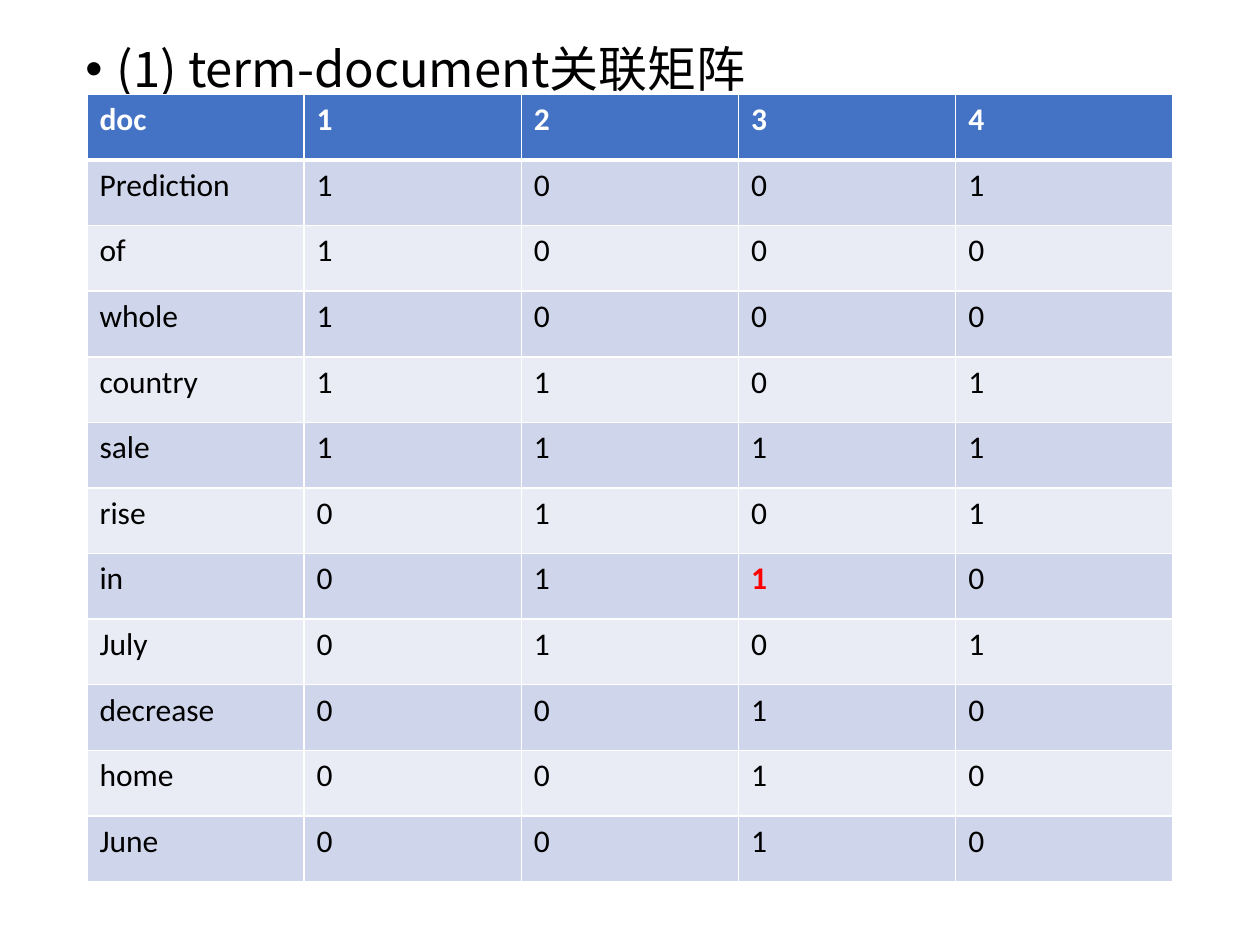
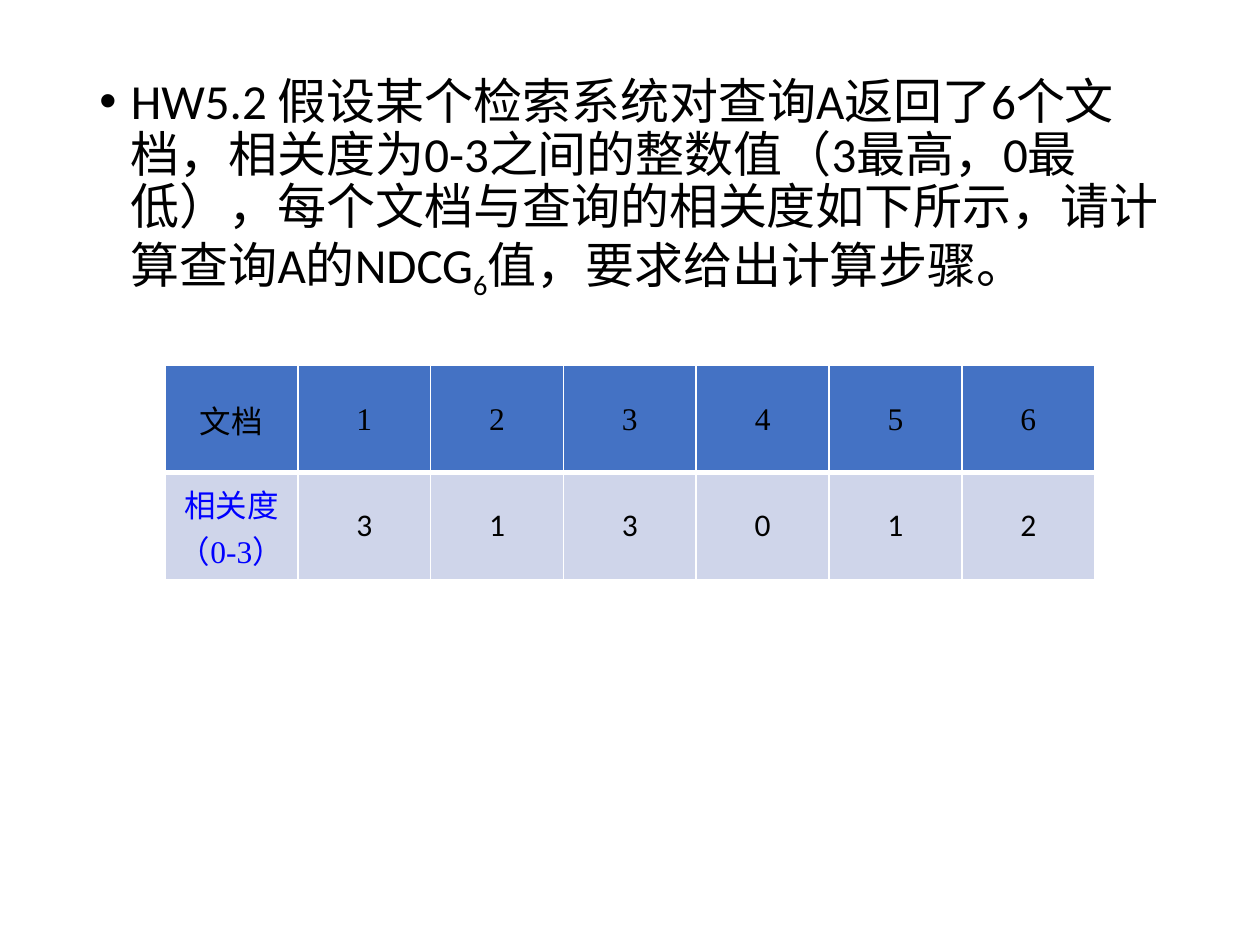
from lxml import etree
from pptx import Presentation, util as u
from pptx.dml.color import RGBColor
from pptx.enum import text
from pptx.oxml.ns import qn

SANS, SERIF, HAN = "Calibri", "Times New Roman", "Noto Sans CJK SC"
BLUE, DARK, PALE = "4472C4", "CFD5EA", "E9EBF5"
BLACK, WHITE, RED, INK = "000000", "FFFFFF", "FF0000", "0000FF"

TITLE = [("(1) term-document关联矩阵", 0)]
TASK = [
    ("HW5.2 假设某个检索系统对查询A返回了6个文档，相关度为0-3之间的整数值"
     "（3最高，0最低），每个文档与查询的相关度如下所示，请计算查询A的NDCG", 0),
    ("6", -25),
    ("值，要求给出计算步骤。", 0),
]
TERMS = [
    ("doc", 1, 2, 3, 4),
    ("Prediction", 1, 0, 0, 1),
    ("of", 1, 0, 0, 0),
    ("whole", 1, 0, 0, 0),
    ("country", 1, 1, 0, 1),
    ("sale", 1, 1, 1, 1),
    ("rise", 0, 1, 0, 1),
    ("in", 0, 1, 1, 0),
    ("July", 0, 1, 0, 1),
    ("decrease", 0, 0, 1, 0),
    ("home", 0, 0, 1, 0),
    ("June", 0, 0, 1, 0),
]
MARK = (7, 3)
GRADES = [
    ("文档", 1, 2, 3, 4, 5, 6),
    ("相关度（0-3）", 3, 1, 3, 0, 1, 2),
]


def color(code):
    return RGBColor.from_string(code)


def style(para, size, face, code, bold=False):
    font = para.font
    font.size, font.bold, font.name = u.Pt(size), bold, face
    font.fill.solid()
    font.fill.fore_color.rgb = color(code)
    latin = font._element.find(qn("a:latin"))
    east = etree.Element(qn("a:ea"), typeface=HAN)
    latin.addnext(east)


def bullet(slide, box, parts, face):
    frame = slide.shapes.add_textbox(*map(u.Inches, box)).text_frame
    frame.word_wrap = True
    para = frame.paragraphs[0]
    para.line_spacing = 0.9
    props = para._p.get_or_add_pPr()
    props.set("marL", str(u.Inches(0.25)))
    props.set("indent", str(u.Inches(-0.25)))
    etree.SubElement(props, qn("a:buFont"), typeface="Arial")
    etree.SubElement(props, qn("a:buChar"), char="•")
    for words, base in parts:
        run = para.add_run()
        run.text = words
        if base:
            run._r.get_or_add_rPr().set("baseline", str(base * 1000))
    style(para, 28, face, BLACK)


def border(cell, row):
    props = cell._tc.get_or_add_tcPr()
    for side in "LRTB":
        thick = (row, side) in ((0, "B"), (1, "T"))
        line = etree.SubElement(props, qn("a:ln" + side),
                                w=str(u.Pt(3 if thick else 1)))
        fill = etree.SubElement(line, qn("a:solidFill"))
        etree.SubElement(fill, qn("a:srgbClr"), val=WHITE)


def grid(slide, box, rows, look):
    table = slide.shapes.add_table(len(rows), len(rows[0]),
                                   *map(u.Inches, box)).table
    table.first_row = table.horz_banding = False
    for i, row in enumerate(rows):
        for j, value in enumerate(row):
            cell = table.cell(i, j)
            border(cell, i)
            cell.fill.solid()
            shade = BLUE if i == 0 else DARK if i % 2 else PALE
            cell.fill.fore_color.rgb = color(shade)
            cell.text = str(value)
            look(cell, i, j)


def term(cell, i, j):
    mark = (i, j) == MARK
    code = WHITE if i == 0 else RED if mark else BLACK
    style(cell.text_frame.paragraphs[0], 18, SANS, code, i == 0 or mark)


def grade(cell, i, j):
    label = i == 0 or j == 0
    para = cell.text_frame.paragraphs[0]
    para.alignment = text.PP_ALIGN.CENTER
    cell.vertical_anchor = text.MSO_ANCHOR.MIDDLE
    if label:
        cell.margin_left = cell.margin_right = cell.margin_top = u.Inches(0.01)
        cell.margin_bottom = 0
    style(para, 18, SERIF if label else SANS, INK if i and label else BLACK)


def main():
    deck = Presentation()
    deck.slide_width, deck.slide_height = u.Inches(10), u.Inches(7.5)
    first, second = (deck.slides.add_slide(deck.slide_layouts[6])
                     for _ in range(2))
    bullet(first, (0.58, 0.31, 8.73, 6.44), TITLE, HAN)
    grid(first, (0.69, 0.75, 8.62, 6.25), TERMS, term)
    bullet(second, (0.69, 0.56, 8.62, 6.19), TASK, SANS)
    grid(second, (1.31, 2.9, 7.38, 1.7), GRADES, grade)
    deck.save("out.pptx")


if __name__ == "__main__":
    main()
